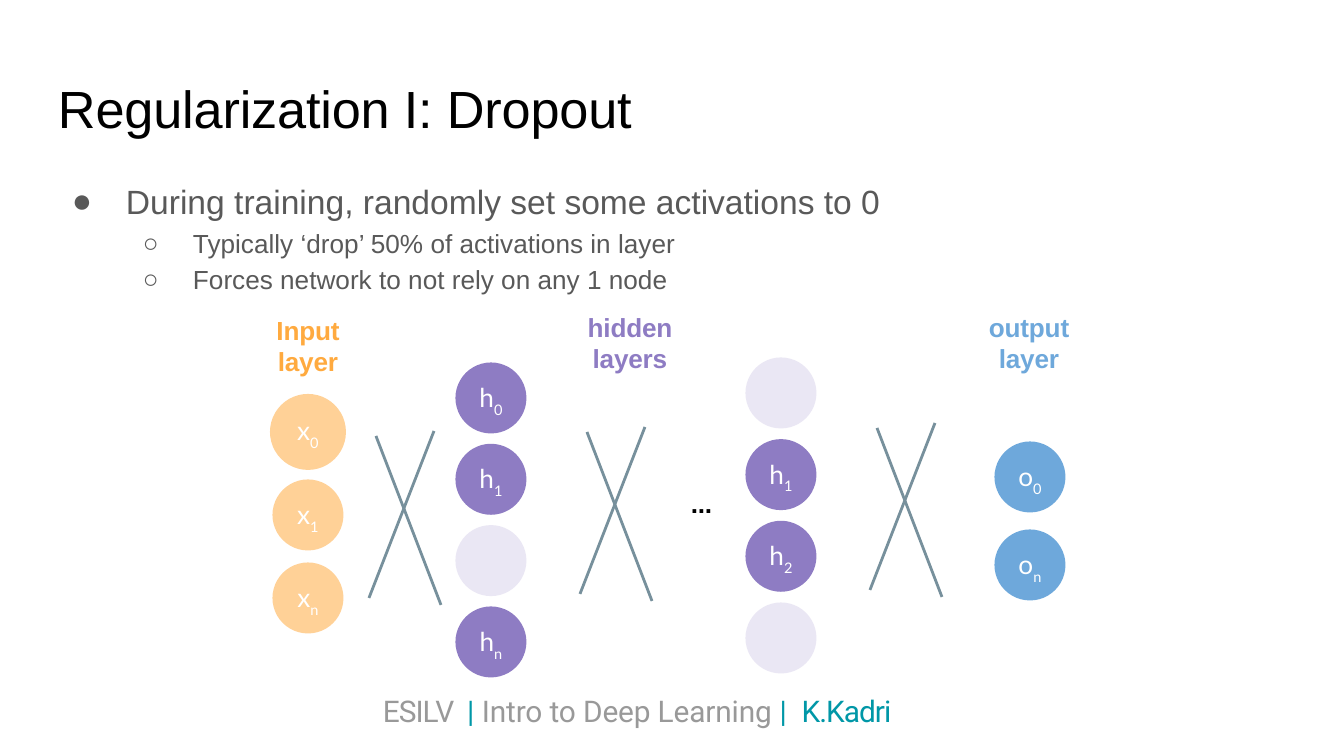
from pptx import Presentation
from pptx.dml.color import RGBColor
from pptx.enum.shapes import MSO_CONNECTOR, MSO_SHAPE
from pptx.enum.text import MSO_ANCHOR, PP_ALIGN
from pptx.oxml.ns import qn
from pptx.util import Pt
from lxml import etree

OVAL, LINE = MSO_SHAPE.OVAL, MSO_CONNECTOR.STRAIGHT
TOP, LEFT, MID = MSO_ANCHOR.TOP, PP_ALIGN.LEFT, PP_ALIGN.CENTER
BLACK, WHITE, GRAY, PALE = "000000", "FFFFFF", "595959", "999999"
AMBER, PLUM, BLUE, TEAL, SLATE = "FFAA3F", "8E7CC3", "6EA8DB", "0097A7", "77909C"

# Content
TITLE = "Regularization I: Dropout"
# level, space before, text
POINTS = [
    (0, 0, "During training, randomly set some activations to 0"),
    (1, 3.3, "Typically ‘drop’ 50% of activations in layer"),
    (1, 2.7, "Forces network to not rely on any 1 node"),
]
# bullet, text margin px, hanging px, size
LEVELS = [("●", 55, 54, 18), ("○", 122, 50, 14)]
# text, centre x, top, colour
LABELS = [
    ("Input layer", 308, 315, AMBER),
    ("hidden layers", 630, 312, PLUM),
    ("output layer", 1029, 312, BLUE),
]
# letter, subscripts (blank for a dropped node), centre x,
# first and last centre y, colour, alpha
LAYERS = [
    ("x", ["0", "1", "n"], 308, 432, 598, AMBER, 54),
    ("h", ["0", "1", "", "n"], 491, 398, 642, PLUM, 100),
    ("h", ["", "1", "2", ""], 781, 393, 638, PLUM, 100),
    ("o", ["0", "n"], 1030, 477, 565, BLUE, 100),
]
SIZE, LARGE, FADED = 71, 76, 18
CROSSES = [(369, 598), (580, 594), (870, 590)]
STROKES = [((0, 0), (65, -167)), ((72, 7), (7, -162))]
# text, colour, letter spacing in 1/100 pt
FOOTER = [
    ("ESILV  ", PALE, -50),
    ("| ", TEAL, 0),
    ("Intro to Deep Learning ", PALE, -5),
    ("|  ", TEAL, 0),
    ("K.Kadri", TEAL, -50),
]


def px(n):
    return round(n * 914400 / 134.4)


def rgb(code):
    return RGBColor.from_string(code)


def add_run(para, text, size, color, font="Arial", bold=False, **attrs):
    run = para.add_run()
    run.text = text
    face = run.font
    face.size, face.name, face.bold = Pt(size), font, bold
    face.color.rgb = rgb(color)
    for key, val in attrs.items():
        run._r.get_or_add_rPr().set(key, str(val))


def set_frame(frame, wrap, top=0):
    frame.margin_left = frame.margin_right = frame.margin_bottom = 0
    frame.margin_top = px(top)
    frame.vertical_anchor, frame.word_wrap = TOP, wrap


def add_box(x, y, w, h, wrap=True):
    frame = slide.shapes.add_textbox(px(x), px(y), px(w), px(h)).text_frame
    set_frame(frame, wrap)
    return frame


def add_node(letter, sub, x, y, size, color, alpha):
    node = slide.shapes.add_shape(
        OVAL, px(x - size / 2), px(y - size / 2), px(size), px(size))
    node.shadow.inherit = False
    node.line.fill.background()
    node.fill.solid()
    node.fill.fore_color.rgb = rgb(color)
    if alpha < 100:
        tint = node._element.spPr.find(".//" + qn("a:srgbClr"))
        etree.SubElement(tint, qn("a:alpha"), val=str(alpha * 1000))
    if not sub:
        return
    set_frame(node.text_frame, False, size * 0.12)
    para = node.text_frame.paragraphs[0]
    para.alignment = MID
    add_run(para, letter, 14, WHITE, "Lato", spc=-20)
    add_run(para, sub, 13.5, WHITE, "Lato", spc=-40, baseline=-31000)


def add_line(start, end):
    line = slide.shapes.add_connector(LINE, *map(px, start + end))
    line.line.color.rgb = rgb(SLATE)
    line.line.width = Pt(1.5)
    etree.SubElement(line._element.spPr, qn("a:effectLst"))


deck = Presentation()
deck.slide_width, deck.slide_height = px(1344), px(756)
slide = deck.slides.add_slide(deck.slide_layouts[6])

# Title
add_run(add_box(58, 76, 1062, 66).paragraphs[0], TITLE, 28, BLACK, spc=-8)

# Bullet points
body = add_box(71, 181, 812, 120)
for i, (level, gap, text) in enumerate(POINTS):
    mark, margin, hang, size = LEVELS[level]
    para = body.add_paragraph() if i else body.paragraphs[0]
    props = para._p.get_or_add_pPr()
    props.set("marL", str(px(margin)))
    props.set("indent", str(-px(hang)))
    etree.SubElement(props, qn("a:buFont"), typeface="Arial")
    etree.SubElement(props, qn("a:buChar"), char=mark)
    para.level, para.alignment = level, LEFT
    if gap:
        para.space_before = Pt(gap)
    add_run(para, text, size, GRAY)

# Layer labels
for text, x, y, color in LABELS:
    para = add_box(x - 47, y, 94, 62).paragraphs[0]
    para.alignment, para.line_spacing = MID, Pt(16.5)
    add_run(para, text, 14, color, bold=True, spc=-10)

# Network nodes, evenly spaced in each layer
for letter, subs, x, first, last, color, alpha in LAYERS:
    step = (last - first) / (len(subs) - 1)
    for i, sub in enumerate(subs):
        size = LARGE if letter == "x" and i == 0 else SIZE
        add_node(letter, sub, x, first + i * step, size, color,
                 alpha if sub else FADED)

# Crossed links between layers
for x, y in CROSSES:
    for (ax, ay), (bx, by) in STROKES:
        add_line((x + ax, y + ay), (x + bx, y + by))

# Ellipsis for further layers
add_run(add_box(691, 487, 26, 35, False).paragraphs[0], "...", 14, BLACK,
        bold=True, spc=-20)

# Footer
para = add_box(383, 693, 614, 36).paragraphs[0]
para.line_spacing = Pt(19.1)
for text, color, space in FOOTER:
    add_run(para, text, 16, color, "Roboto", spc=space)

deck.save("out.pptx")
